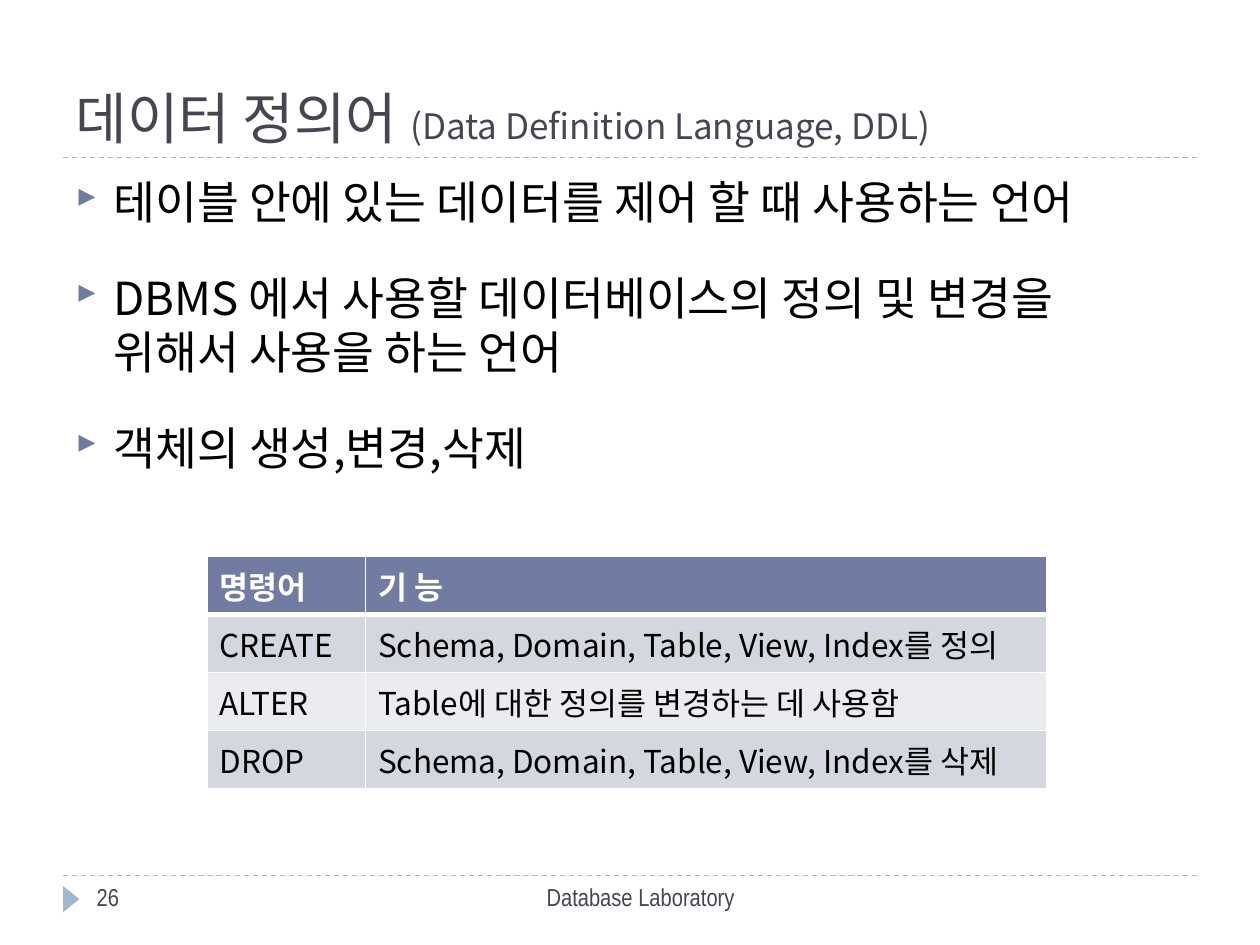
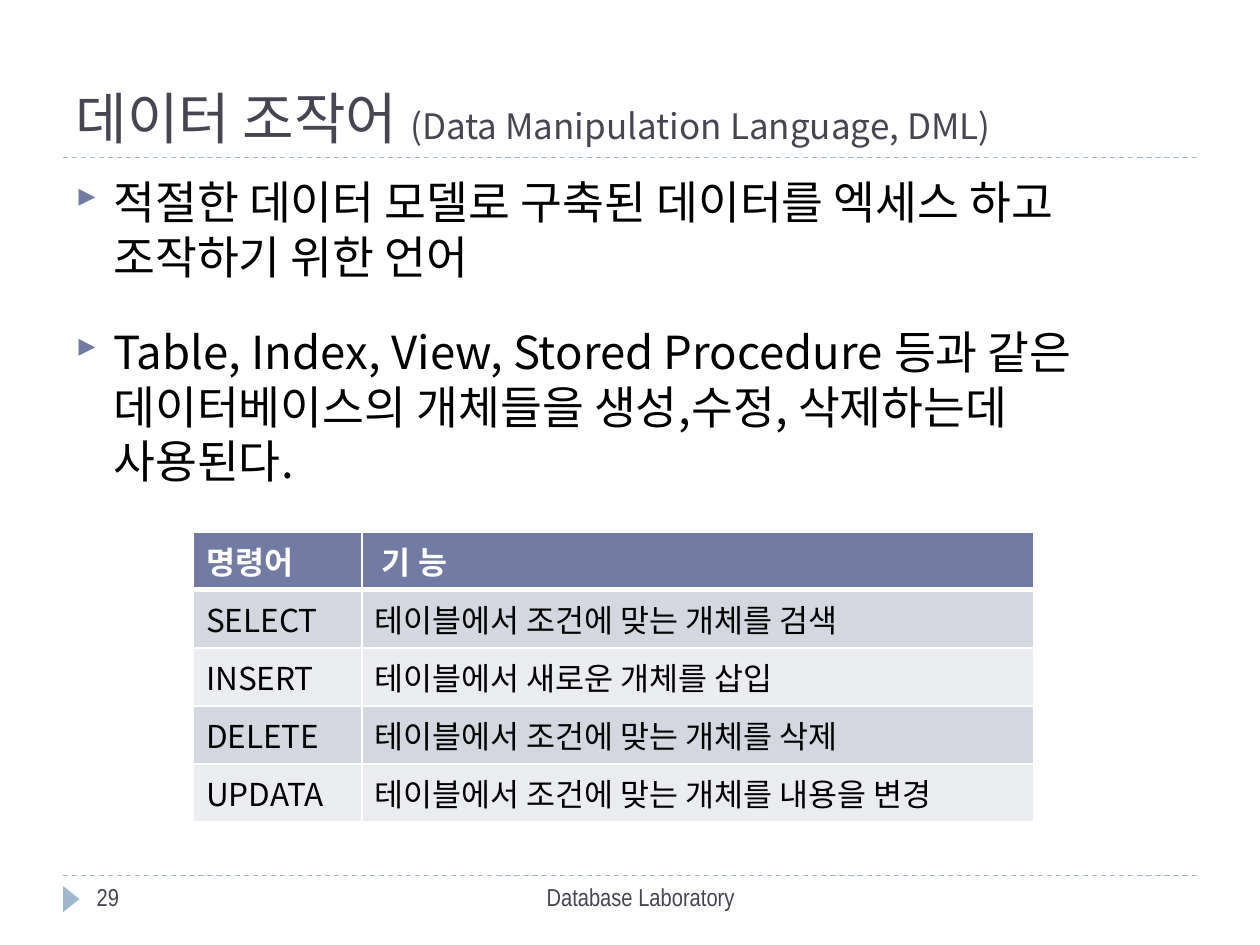
from lxml import etree
from pptx import Presentation
from pptx.dml.color import RGBColor
from pptx.enum.dml import MSO_LINE
from pptx.enum.shapes import MSO_CONNECTOR, MSO_SHAPE
from pptx.enum.text import MSO_ANCHOR, MSO_AUTO_SIZE, PP_ALIGN
from pptx.oxml.ns import qn
from pptx.util import Cm, Pt

DASH, STRAIGHT, TRIANGLE = MSO_LINE.DASH, MSO_CONNECTOR.STRAIGHT, MSO_SHAPE.ISOSCELES_TRIANGLE
TOP, BOTTOM, NO_FIT = MSO_ANCHOR.TOP, MSO_ANCHOR.BOTTOM, MSO_AUTO_SIZE.NONE
LEFT, CENTER = PP_ALIGN.LEFT, PP_ALIGN.CENTER

INK = RGBColor(0x46, 0x46, 0x53)
BLACK = RGBColor(0, 0, 0)
WHITE = RGBColor(0xFF, 0xFF, 0xFF)
ACCENT = RGBColor(0x72, 0x7C, 0xA3)
PALE_BLUE = RGBColor(0x9F, 0xB8, 0xCD)
BANDS = [RGBColor(0xEB, 0xEC, 0xF0), RGBColor(0xD5, 0xD7, 0xE0)]

KOREAN, NARROW = "Noto Sans CJK KR", "Arial Narrow"
TITLE = {"name": KOREAN, "size": Pt(32), "bold": False}
SUBTITLE = TITLE | {"size": Pt(20)}
BODY = TITLE | {"size": Pt(26)}
HEADER = {"name": KOREAN, "size": Pt(18), "bold": True}
CELL = HEADER | {"bold": False}
FOOTER = {"name": NARROW, "size": Pt(14)}

PAGES = [
    {
        "number": "26",
        "title": "데이터 정의어 ",
        "subtitle": "(Data Definition Language, DDL)",
        "points": [
            "테이블 안에 있는 데이터를 제어 할 때 사용하는 언어",
            "DBMS 에서 사용할 데이터베이스의 정의 및 변경을 위해서 사용을 하는 언어",
            "객체의 생성,변경,삭제",
        ],
        "table_at": (Cm(4.17), Cm(11.22)),
        "columns": (Cm(3.2), Cm(13.74)),
        "rows": [
            ("명령어", "기 능"),
            ("CREATE", "Schema, Domain, Table, View, Index를 정의"),
            ("ALTER", "Table에 대한 정의를 변경하는 데 사용함"),
            ("DROP", "Schema, Domain, Table, View, Index를 삭제"),
        ],
    },
    {
        "number": "29",
        "title": "데이터 조작어 ",
        "subtitle": "(Data Manipulation Language, DML)",
        "points": [
            "적절한 데이터 모델로 구축된 데이터를 엑세스 하고 조작하기 위한 언어",
            "Table, Index, View, Stored Procedure 등과 같은 데이터베이스의 "
            "개체들을 생성,수정, 삭제하는데 사용된다.",
        ],
        "table_at": (Cm(3.9), Cm(10.72)),
        "columns": (Cm(3.4), Cm(13.54)),
        "rows": [
            ("명령어", " 기 능"),
            ("SELECT", "테이블에서 조건에 맞는 개체를 검색"),
            ("INSERT", "테이블에서 새로운 개체를 삽입"),
            ("DELETE", "테이블에서 조건에 맞는 개체를 삭제"),
            ("UPDATA", "테이블에서 조건에 맞는 개체를 내용을 변경"),
        ],
    },
]


def add_span(para, text, style, color):
    span = para.add_run()
    span.text = text
    for key, value in style.items():
        setattr(span.font, key, value)
    span.font.color.rgb = color


def add_border(cell, position, side, width):
    line = etree.Element(qn(f"a:{side}"), w=str(Pt(width)))
    fill = etree.SubElement(line, qn("a:solidFill"))
    etree.SubElement(fill, qn("a:srgbClr"), val=str(WHITE))
    cell._tc.get_or_add_tcPr().insert(position, line)


deck = Presentation()
deck.slide_width, deck.slide_height = Cm(25.4), Cm(19.05)

for content in PAGES:
    page = deck.slides.add_slide(deck.slide_layouts[1])

    # Rules and the page marker
    for y in (Cm(17.65), Cm(3.18)):
        rule = page.shapes.add_connector(STRAIGHT, Cm(1.27), y, Cm(24.13), y)
        rule.line.color.rgb = PALE_BLUE
        rule.line.width = Pt(0.75)
        rule.line.dash_style = DASH
        etree.SubElement(rule._element.spPr, qn("a:effectLst"))
    marker = page.shapes.add_shape(TRIANGLE, Cm(1.17), Cm(17.96), Cm(0.53), Cm(0.33))
    marker.rotation = 90
    marker.shadow.inherit = False
    marker.fill.solid()
    marker.fill.fore_color.rgb = PALE_BLUE
    marker.line.fill.background()

    # Title and list
    title, body = page.shapes.title, page.placeholders[1]
    for box, top, height, anchor in (
        (title, Cm(0.43), Cm(2.74), BOTTOM),
        (body, Cm(3.38), Cm(13.72), TOP),
    ):
        box.left, box.top, box.width, box.height = Cm(1.27), top, Cm(22.86), height
        box.text_frame.auto_size = NO_FIT
        box.text_frame.word_wrap = True
        box.text_frame.vertical_anchor = anchor
    para = title.text_frame.paragraphs[0]
    para.alignment = LEFT
    add_span(para, content["title"], TITLE, INK)
    add_span(para, content["subtitle"], SUBTITLE, INK)

    for index, point in enumerate(content["points"]):
        frame = body.text_frame
        para = frame.add_paragraph() if index else frame.paragraphs[0]
        para.space_before = Pt(23.5 if index else 0)
        props = para._p.get_or_add_pPr()
        props.set("marL", str(Cm(0.76)))
        props.set("indent", str(Cm(-0.76)))
        bullet_color = etree.SubElement(props, qn("a:buClr"))
        etree.SubElement(bullet_color, qn("a:srgbClr"), val=str(ACCENT))
        etree.SubElement(props, qn("a:buSzPct"), val="76000")
        etree.SubElement(props, qn("a:buFont"), typeface="Wingdings 3", charset="2")
        etree.SubElement(props, qn("a:buChar"), char="}")
        add_span(para, point, BODY, BLACK)

    # Footer
    for text, left, width, alignment in (
        ("Database Laboratory", Cm(8.05), Cm(9.73), CENTER),
        (content["number"], Cm(1.7), Cm(5.51), LEFT),
    ):
        box = page.shapes.add_textbox(left, Cm(17.65), width, Cm(1.02))
        box.text_frame.word_wrap = True
        para = box.text_frame.paragraphs[0]
        para.alignment = alignment
        add_span(para, text, FOOTER, INK)

    # Command table
    rows, columns = content["rows"], content["columns"]
    row_height = Cm(1.17)
    table = page.shapes.add_table(
        len(rows), len(columns), *content["table_at"], sum(columns), row_height * len(rows)
    ).table
    for column, width in zip(table.columns, columns):
        column.width = width
    for row_index, texts in enumerate(rows):
        table.rows[row_index].height = row_height
        is_header = row_index == 0
        for column_index, text in enumerate(texts):
            cell = table.cell(row_index, column_index)
            cell.fill.solid()
            cell.fill.fore_color.rgb = ACCENT if is_header else BANDS[row_index % 2]
            widths = {"lnL": 1, "lnR": 1, "lnT": 3 if row_index == 1 else 1,
                      "lnB": 3 if is_header else 1}
            for position, (side, width) in enumerate(widths.items()):
                add_border(cell, position, side, width)
            add_span(cell.text_frame.paragraphs[0], text,
                     HEADER if is_header else CELL, WHITE if is_header else BLACK)

deck.save("out.pptx")
